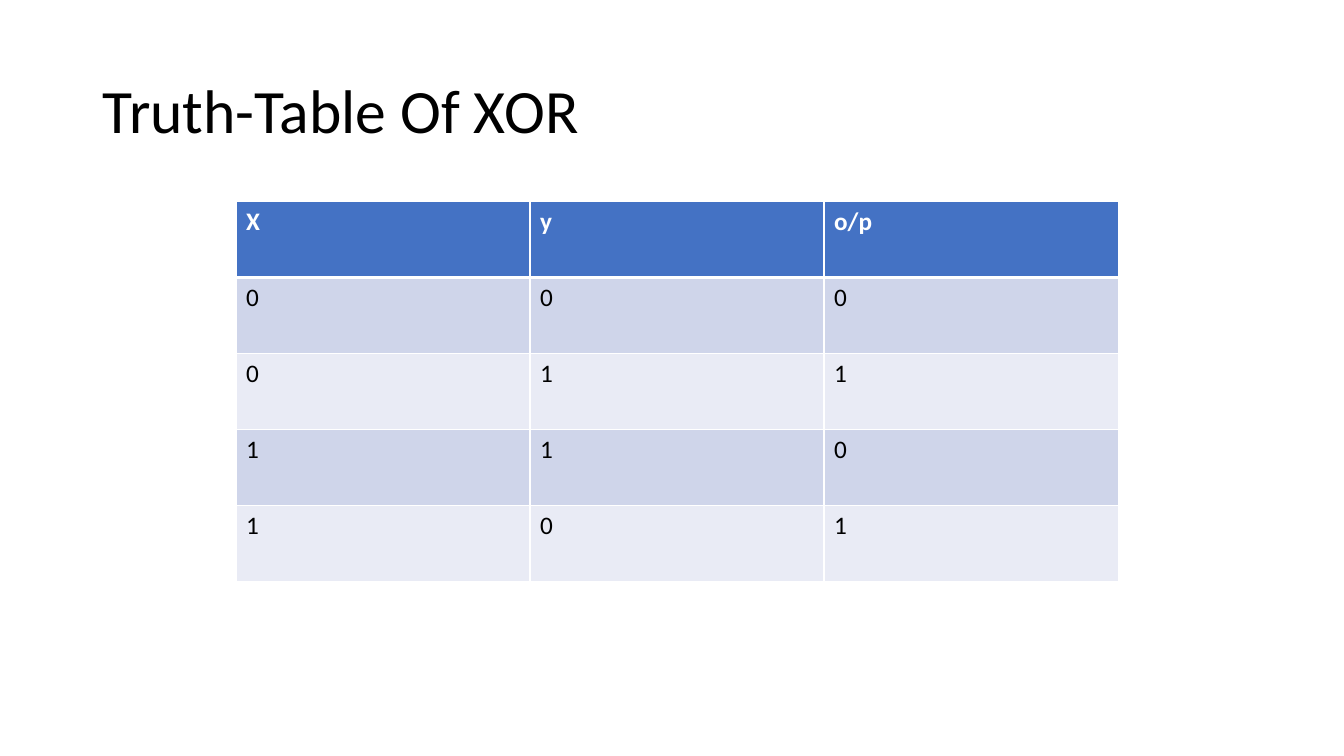
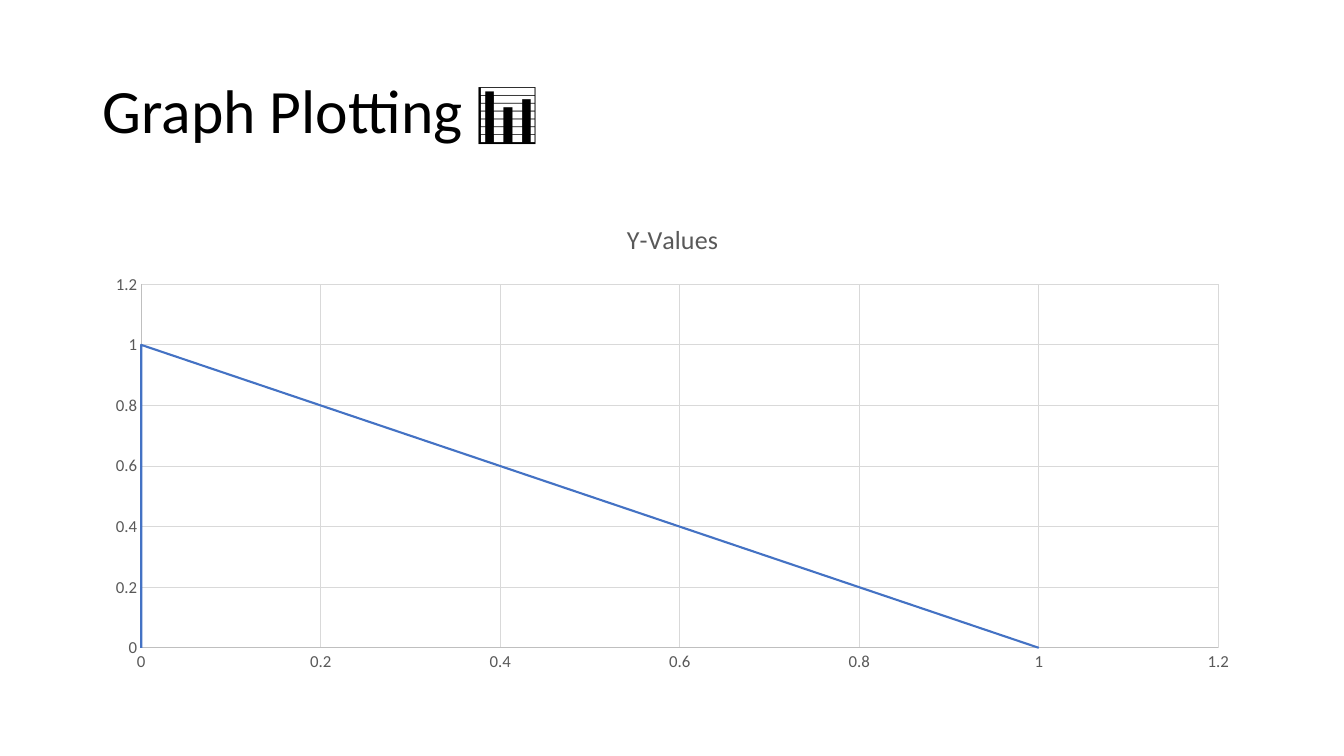
from dataclasses import dataclass

from lxml.etree import SubElement
from pptx import Presentation
from pptx.chart.chart import Chart
from pptx.chart.data import XyChartData
from pptx.dml.color import RGBColor
from pptx.enum.chart import XL_CHART_TYPE, XL_MARKER_STYLE, XL_TICK_MARK
from pptx.enum.text import MSO_ANCHOR, MSO_AUTO_SIZE, PP_ALIGN
from pptx.oxml.ns import qn
from pptx.slide import Slide
from pptx.table import _Cell
from pptx.text.text import Font, _Paragraph
from pptx.util import Inches, Pt


@dataclass(frozen=True)
class Theme:
    """Colours, font and type sizes of the presentation."""
    font: str = "Calibri"
    ink: str = "000000"
    paper: str = "FFFFFF"
    accent: str = "4472C4"
    bands: tuple[str, str] = ("CFD5EA", "E9EBF5")
    chart_text: str = "595959"
    axis_line: str = "BFBFBF"
    grid_line: str = "D9D9D9"
    title_size: float = 44
    table_size: float = 18
    chart_title_size: float = 18.6
    axis_size: float = 12


@dataclass(frozen=True)
class Box:
    """A place on the slide, in inches."""
    left: float
    top: float
    width: float
    height: float

    def lengths(self) -> tuple[Inches, Inches, Inches, Inches]:
        """Return left, top, width and height as lengths."""
        return (Inches(self.left), Inches(self.top),
                Inches(self.width), Inches(self.height))


THEME = Theme()
TITLE_BOX = Box(0.92, 0.4, 11.5, 1.45)
TABLE_BOX = Box(2.34, 2, 8.75, 3.77)
CHART_BOX = Box(0.92, 2, 11.5, 4.76)
TRUTH_TABLE = (
    ("X", "y", "o/p"),
    ("0", "0", "0"),
    ("0", "1", "1"),
    ("1", "1", "0"),
    ("1", "0", "1"),
)
PLOT_NAME = "Y-Values"
PLOT_POINTS = ((0, 0), (0, 1), (1, 0))


def style_font(font: Font, size: float, color: str, bold: bool = False) -> None:
    """Set the theme font with a size, colour and weight."""
    font.name = THEME.font
    font.size = Pt(size)
    font.bold = bold
    font.color.rgb = RGBColor.from_string(color)


def add_run(paragraph: _Paragraph, text: str, size: float, color: str,
            bold: bool = False) -> None:
    """Append one formatted run."""
    run = paragraph.add_run()
    run.text = text
    style_font(run.font, size, color, bold)


def add_titled_slide(presentation: Presentation, title: str) -> Slide:
    """Add a title-only slide and format its title."""
    slide = presentation.slides.add_slide(presentation.slide_layouts[5])
    shape = slide.shapes.title
    shape.left, shape.top, shape.width, shape.height = TITLE_BOX.lengths()
    frame = shape.text_frame
    frame.word_wrap = True
    frame.auto_size = MSO_AUTO_SIZE.NONE
    frame.vertical_anchor = MSO_ANCHOR.MIDDLE
    paragraph = frame.paragraphs[0]
    paragraph.alignment = PP_ALIGN.LEFT
    paragraph.line_spacing = 0.9
    add_run(paragraph, title, THEME.title_size, THEME.ink)
    return slide


def add_border(cell: _Cell, side: str, width: float) -> None:
    """Draw one border of a cell; call before the cell is filled."""
    properties = cell._tc.get_or_add_tcPr()
    line = SubElement(properties, qn(f"a:ln{side}"), w=str(Pt(width)))
    fill = SubElement(line, qn("a:solidFill"))
    SubElement(fill, qn("a:srgbClr"), val=THEME.paper)


def format_cell(cell: _Cell, text: str, row: int) -> None:
    """Write a cell as header or as part of a banded row."""
    header = row == 0
    borders = {"L": 1, "R": 1, "T": 3 if row == 1 else 1, "B": 3 if header else 1}
    for side, width in borders.items():
        add_border(cell, side, width)
    cell.fill.solid()
    color = THEME.accent if header else THEME.bands[(row - 1) % 2]
    cell.fill.fore_color.rgb = RGBColor.from_string(color)
    add_run(cell.text_frame.paragraphs[0], text, THEME.table_size,
            THEME.paper if header else THEME.ink, header)


def add_truth_table(slide: Slide) -> None:
    """Add the truth table with equal rows and columns."""
    rows, columns = len(TRUTH_TABLE), len(TRUTH_TABLE[0])
    table = slide.shapes.add_table(rows, columns, *TABLE_BOX.lengths()).table
    for row, values in enumerate(TRUTH_TABLE):
        for column, text in enumerate(values):
            format_cell(table.cell(row, column), text, row)


def format_axes(chart: Chart) -> None:
    """Give both axes the same scale, grid and labels."""
    for axis in (chart.category_axis, chart.value_axis):
        axis.minimum_scale, axis.maximum_scale, axis.major_unit = 0, 1.2, 0.2
        axis.major_tick_mark = axis.minor_tick_mark = XL_TICK_MARK.NONE
        axis.has_major_gridlines = True
        lines = ((axis.format.line, THEME.axis_line),
                 (axis.major_gridlines.format.line, THEME.grid_line))
        for line, color in lines:
            line.width = Pt(0.75)
            line.color.rgb = RGBColor.from_string(color)
        labels = axis.tick_labels
        labels.number_format = "General"
        labels.number_format_is_linked = False
        style_font(labels.font, THEME.axis_size, THEME.chart_text)


def add_plot(slide: Slide) -> None:
    """Add the scatter chart with straight lines."""
    data = XyChartData()
    points = data.add_series(PLOT_NAME)
    for x, y in PLOT_POINTS:
        points.add_data_point(x, y)
    chart = slide.shapes.add_chart(XL_CHART_TYPE.XY_SCATTER_LINES_NO_MARKERS,
                                   *CHART_BOX.lengths(), data).chart
    style_font(chart.font, 10, THEME.ink)
    chart.has_legend = False
    chart.has_title = True
    chart.chart_title.include_in_layout = False
    add_run(chart.chart_title.text_frame.paragraphs[0], PLOT_NAME,
            THEME.chart_title_size, THEME.chart_text)
    format_axes(chart)
    plot = chart.plots[0]
    plot.vary_by_categories = False
    series = plot.series[0]
    series.smooth = False
    series.marker.style = XL_MARKER_STYLE.NONE
    series.format.line.width = Pt(1.5)
    series.format.line.color.rgb = RGBColor.from_string(THEME.accent)


def main() -> None:
    """Build and save the presentation."""
    presentation = Presentation()
    presentation.slide_width = Inches(13.33)
    presentation.slide_height = Inches(7.5)
    add_truth_table(add_titled_slide(presentation, "Truth-Table Of XOR"))
    add_plot(add_titled_slide(presentation, "Graph Plotting 📊"))
    presentation.save("out.pptx")


main()
